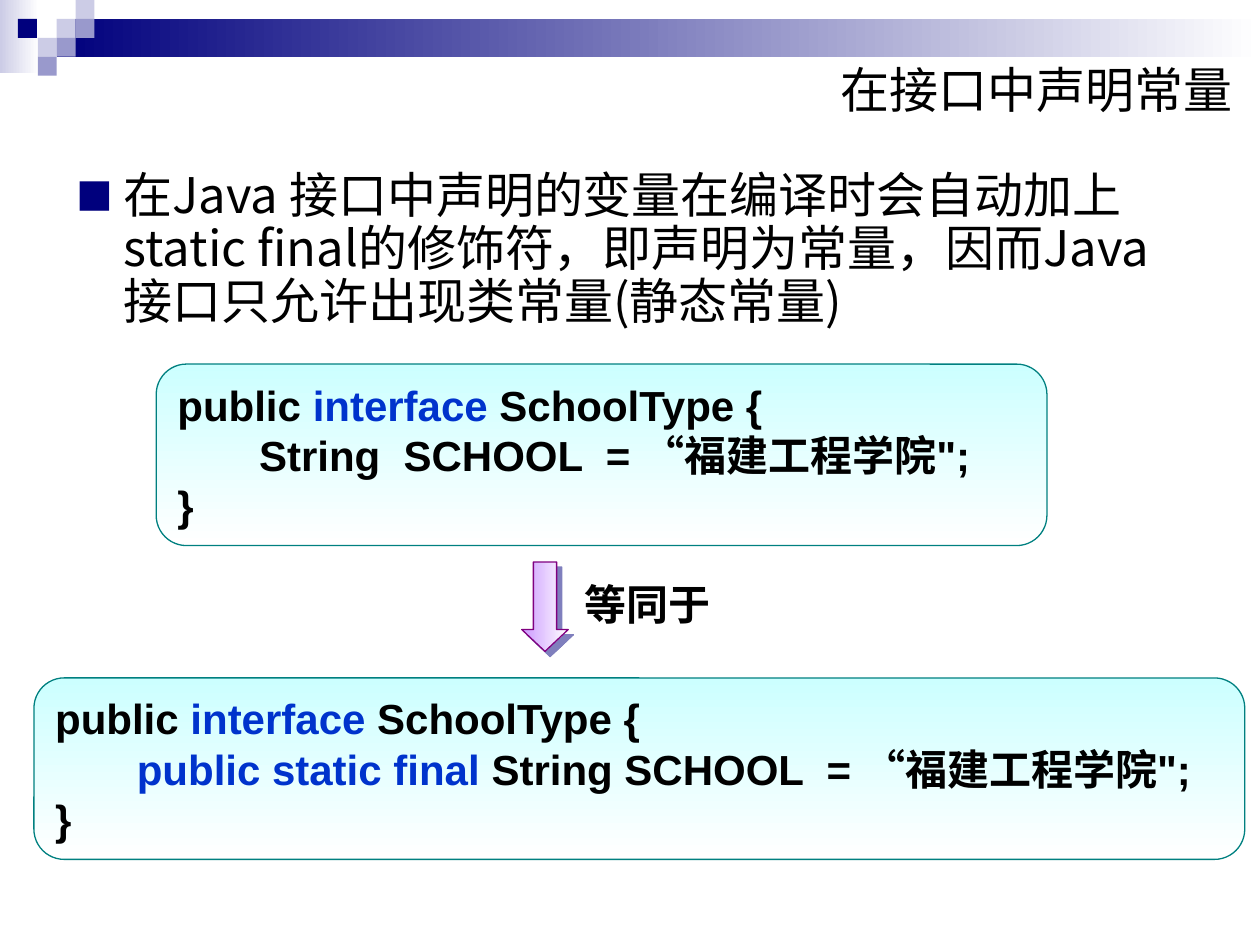
import dataclasses
import pptx
import pptx.util
import pptx.dml.color
import pptx.enum.shapes
import pptx.enum.text
import pptx.oxml
import pptx.oxml.ns

Pt = pptx.util.Pt
Shape = pptx.enum.shapes.MSO_SHAPE
Align = pptx.enum.text.PP_ALIGN
Anchor = pptx.enum.text.MSO_ANCHOR
AutoSize = pptx.enum.text.MSO_AUTO_SIZE


@dataclasses.dataclass(frozen=True)
class Theme:
    """Hold the colours, fonts and type sizes of the deck."""
    navy: str = "00007D"
    violet: str = "9999CC"
    lavender: str = "CCCCE6"
    white: str = "FFFFFF"
    black: str = "000000"
    keyword: str = "0033CC"
    aqua: str = "CCFFFF"
    teal: str = "008080"
    lilac: str = "CC99FF"
    purple: str = "800080"
    code_font: str = "Arial"
    text_font: str = "Noto Sans CJK SC"
    heading_size: int = 28
    code_size: int = 24


THEME = Theme()


def color(value):
    """Turn a hex string into a colour."""
    return pptx.dml.color.RGBColor.from_string(value)


def apply(target, values):
    """Set every named attribute on the target."""
    for name, value in values.items():
        setattr(target, name, value)


def xml(text):
    """Read a DrawingML fragment."""
    return pptx.oxml.parse_xml(text.replace(" ", f' {pptx.oxml.ns.nsdecls("a")} ', 1))


def add_span(para, text, font, size, bold=False, shade=THEME.black):
    """Add one formatted run that covers Latin and Chinese text."""
    span = para.add_run()
    span.text = text
    apply(span.font, {"name": font, "size": Pt(size), "bold": bold})
    span.font.color.rgb = color(shade)
    span.font._element.append(xml(f'<a:ea typeface="{THEME.text_font}"/>'))


def add_figure(page, kind, box, fill, line=None, angle=0):
    """Add a preset shape with a solid fill or a two-colour gradient."""
    figure = page.shapes.add_shape(kind, *map(Pt, box))
    figure.shadow.inherit = False
    if isinstance(fill, tuple):
        figure.fill.gradient()
        figure.fill.gradient_angle = angle
        for stop, shade in zip(figure.fill.gradient_stops, fill):
            stop.color.rgb = color(shade)
    else:
        figure.fill.solid()
        figure.fill.fore_color.rgb = color(fill)
    if line:
        figure.line.color.rgb = color(line)
        figure.line.width = Pt(0.75)
    else:
        figure.line.fill.background()
    return figure


def add_banner(page, box):
    """Draw the gradient bar and the checkered squares at its left end."""
    left, top, width, height = box
    side = height / 4
    start = left + 3 * side
    add_figure(page, Shape.RECTANGLE, (left, top, 22.3, 41.8), (THEME.lavender, THEME.white))
    add_figure(page, Shape.RECTANGLE, (start, top + side, width - 3 * side, 2 * side),
               (THEME.navy, THEME.white))
    squares = [(3, 1, THEME.lavender), (4, 0, THEME.lavender), (4, 1, THEME.violet),
               (2, 2, THEME.lavender), (0.95, 1, THEME.navy), (3, 2, THEME.violet),
               (2, 3, THEME.violet)]
    for column, row, shade in squares:
        add_figure(page, Shape.RECTANGLE,
                   (left + column * side, top + row * side, side, side), shade)


def add_title(page, box, text):
    """Place the right-aligned title in its placeholder."""
    title = page.shapes.title
    apply(title, dict(zip(("left", "top", "width", "height"), map(Pt, box))))
    apply(title.text_frame, {"word_wrap": True, "vertical_anchor": Anchor.MIDDLE,
                             "auto_size": AutoSize.NONE})
    para = title.text_frame.paragraphs[0]
    para.alignment = Align.RIGHT
    add_span(para, text, THEME.text_font, THEME.heading_size)


def add_statement(page, box, text):
    """Place the bulleted statement."""
    frame = page.shapes.add_textbox(*map(Pt, box)).text_frame
    frame.word_wrap = True
    para = frame.paragraphs[0]
    apply(para, {"line_spacing": 0.9, "space_before": Pt(7)})
    props = para._p.get_or_add_pPr()
    props.set("marL", str(Pt(27)))
    props.set("indent", str(-Pt(27)))
    for bullet in (f'<a:buClr ><a:srgbClr val="{THEME.navy}"/></a:buClr>',
                   '<a:buSzPct val="75000"/>',
                   f'<a:buFont typeface="{THEME.text_font}"/>',
                   '<a:buChar char="■"/>'):
        props.append(xml(bullet))
    add_span(para, text, THEME.text_font, THEME.heading_size)


def add_code(page, box, member):
    """Draw a code panel around an interface with one member."""
    panel = add_figure(page, Shape.ROUNDED_RECTANGLE, box, (THEME.aqua, THEME.white),
                       THEME.teal, 270)
    frame = panel.text_frame
    apply(frame, {"word_wrap": True, "vertical_anchor": Anchor.TOP,
                  "auto_size": AutoSize.SHAPE_TO_FIT_TEXT})
    header = [("public ", THEME.black), ("interface", THEME.keyword),
              (" SchoolType {", THEME.black)]
    for index, (spans, margin) in enumerate(
            [(header, 0), (member, 46.7), ([("}", THEME.black)], 0)]):
        para = frame.add_paragraph() if index else frame.paragraphs[0]
        para.alignment = Align.LEFT
        para._p.get_or_add_pPr().set("marL", str(Pt(margin)))
        for text, shade in spans:
            add_span(para, text, THEME.code_font, THEME.code_size, True, shade)


def add_equivalence(page, box, text):
    """Draw the downward arrow and its label."""
    left, top, width, height = box
    length, breadth = 51.1, 26.6
    arrow = add_figure(page, Shape.RIGHT_ARROW,
                       (left - (length - breadth) / 2, top + (length - breadth) / 2,
                        length, breadth),
                       (THEME.lilac, THEME.white), THEME.purple)
    arrow.rotation = 90
    arrow.adjustments[0], arrow.adjustments[1] = 0.5, 0.47
    props = arrow._element.spPr
    props.find(pptx.oxml.ns.qn("a:gradFill")).set("rotWithShape", "0")
    props.find(pptx.oxml.ns.qn("a:effectLst")).append(xml(
        f'<a:outerShdw dist="{Pt(4.2)}" dir="2700000" algn="ctr" rotWithShape="0">'
        f'<a:srgbClr val="{THEME.navy}"><a:alpha val="50000"/></a:srgbClr></a:outerShdw>'))
    label = page.shapes.add_textbox(Pt(left + 28.8), Pt(top + 5.8), Pt(width - 28.8), Pt(36))
    apply(label.text_frame, {"word_wrap": False, "auto_size": AutoSize.SHAPE_TO_FIT_TEXT})
    add_span(label.text_frame.paragraphs[0], text, THEME.code_font, THEME.code_size, True)


def main():
    """Build the slide and save the deck."""
    deck = pptx.Presentation()
    apply(deck, {"slide_width": Pt(720), "slide_height": Pt(540)})
    page = deck.slides.add_slide(deck.slide_layouts[5])
    add_banner(page, (0, 0, 720, 43.2))
    add_title(page, (450.7, 30.2, 260.6, 41), "在接口中声明常量")
    add_statement(page, (36.7, 94.3, 648, 102.2),
                  "在Java 接口中声明的变量在编译时会自动加上static final的修饰符，"
                  "即声明为常量，因而Java接口只允许出现类常量(静态常量)")
    add_code(page, (19.4, 387.4, 691.9, 103.7),
             [("public static final", THEME.keyword),
              (" String SCHOOL  = “福建工程学院\";", THEME.black)])
    add_code(page, (89.3, 208.1, 509, 103.7),
             [("String  SCHOOL  = “福建工程学院\";", THEME.black)])
    add_equivalence(page, (298.1, 321.1, 115.2, 51.1), "等同于")
    deck.save("out.pptx")


if __name__ == "__main__":
    main()
